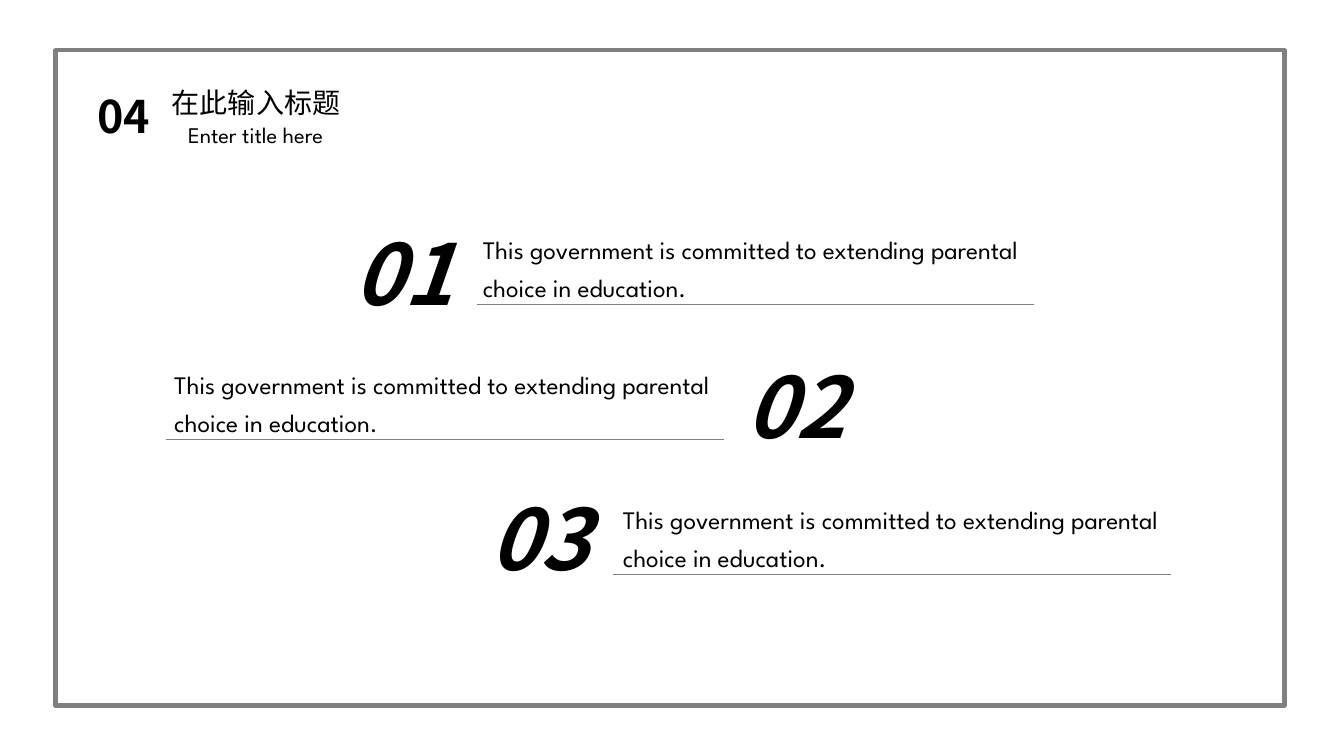
from lxml import etree
from pptx import Presentation
from pptx.dml.color import RGBColor
from pptx.enum.shapes import MSO_CONNECTOR, MSO_SHAPE
from pptx.enum.text import MSO_ANCHOR, MSO_AUTO_SIZE, PP_ALIGN
from pptx.oxml.ns import qn
from pptx.util import Inches, Pt

BLACK = RGBColor(0x00, 0x00, 0x00)
GRAY = RGBColor(0x80, 0x80, 0x80)
LATIN = "League Spartan"
CJK = "Noto Sans CJK SC"
LEFT, CENTER = PP_ALIGN.LEFT, PP_ALIGN.CENTER
TOP = MSO_ANCHOR.TOP
NO_FIT = MSO_AUTO_SIZE.NONE
STRAIGHT = MSO_CONNECTOR.STRAIGHT
RECTANGLE = MSO_SHAPE.RECTANGLE

STATEMENT = "This government is committed to extending parental choice in education."
STATEMENT_TOP, STATEMENT_PITCH = 2.2, 1.34
STATEMENT_WIDTH, STATEMENT_HEIGHT = 5.57, 0.82
NUMBER_TOP, NUMBER_PITCH = 2.15, 1.315
NUMBER_WIDTH, NUMBER_HEIGHT = 2.3, 1.11
RULE_WIDTH = 5.53
ROWS = [
    ("01", 2.85, 4.69, 4.73),
    ("02", 6.74, 1.63, 1.65),
    ("03", 4.2, 6.08, 6.08),
]


def place(shape, left, top, width, height):
    shape.left, shape.top = Inches(left), Inches(top)
    shape.width, shape.height = Inches(width), Inches(height)


def write(shape, text, font, size, align=CENTER, bold=False, italic=False, spacing=1.0):
    frame = shape.text_frame
    frame.text = text
    frame.word_wrap = True
    frame.auto_size = NO_FIT
    frame.vertical_anchor = TOP
    para = frame.paragraphs[0]
    para.alignment = align
    para.line_spacing = spacing
    span = para.runs[0]
    span.font.name = font
    span.font.size = Pt(size)
    span.font.bold = bold
    span.font.italic = italic
    span.font.color.rgb = BLACK
    east_asian = etree.SubElement(span.font._element, qn("a:ea"))
    east_asian.set("typeface", font)


def add_text(page, left, top, width, height, *content, **style):
    box = page.shapes.add_textbox(0, 0, 0, 0)
    place(box, left, top, width, height)
    write(box, *content, **style)


def add_frame(page):
    frame = page.shapes.add_shape(RECTANGLE, 0, 0, 0, 0)
    place(frame, 0.55, 0.5, 12.19, 6.5)
    frame.shadow.inherit = False
    frame.fill.background()
    frame.line.color.rgb = GRAY
    frame.line.width = Pt(3)


def add_rule(page, left, top):
    y = Inches(top)
    rule = page.shapes.add_connector(
        STRAIGHT, Inches(left), y, Inches(left + RULE_WIDTH), y
    )
    rule.line.color.rgb = GRAY
    rule.line.width = Pt(0.5)
    etree.SubElement(rule._element.spPr, qn("a:effectLst"))


def add_heading(page):
    title = page.shapes.title
    place(title, 1.43, 0.8, 2.22, 0.44)
    write(title, "在此输入标题", CJK, 20)
    add_text(page, 1.56, 1.15, 1.95, 0.37, "Enter title here", LATIN, 16)
    add_text(page, 0.83, 0.83, 0.8, 0.64, "04", CJK, 32, bold=True)


def add_row(page, row, number, number_left, statement_left, rule_left):
    top = STATEMENT_TOP + row * STATEMENT_PITCH
    add_text(page, statement_left, top, STATEMENT_WIDTH, STATEMENT_HEIGHT,
             STATEMENT, LATIN, 18, align=LEFT, spacing=1.25)
    add_text(page, number_left, NUMBER_TOP + row * NUMBER_PITCH,
             NUMBER_WIDTH, NUMBER_HEIGHT, number, CJK, 60, bold=True, italic=True)
    add_rule(page, rule_left, top + STATEMENT_HEIGHT)


def main():
    deck = Presentation()
    deck.slide_width, deck.slide_height = Inches(13.33), Inches(7.5)
    page = deck.slides.add_slide(deck.slide_layouts.get_by_name("Title Only"))
    add_frame(page)
    add_heading(page)
    for row, content in enumerate(ROWS):
        add_row(page, row, *content)
    deck.save("out.pptx")


if __name__ == "__main__":
    main()
